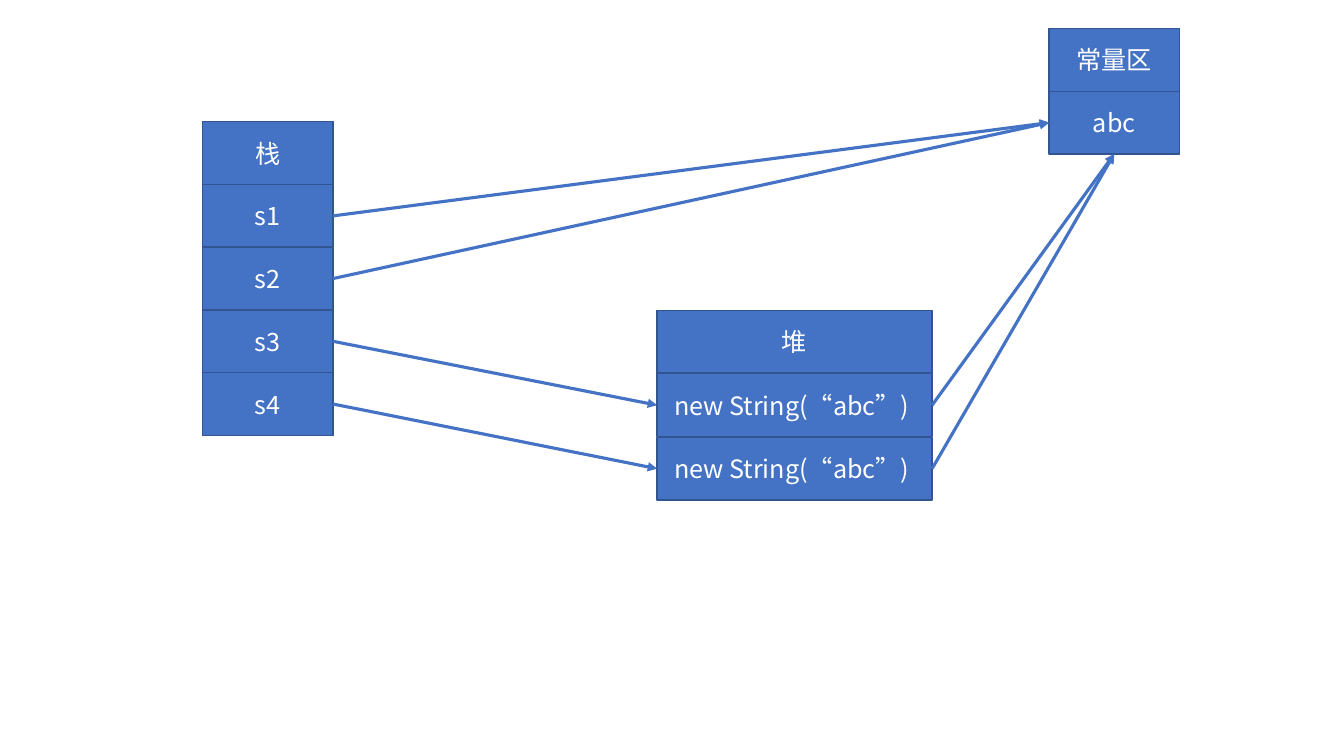
"""Draw how stack variables refer to strings in the heap and the constant area."""
from lxml import etree
from pptx import Presentation
from pptx import util as u
from pptx.dml.color import RGBColor
from pptx.enum import shapes, text
from pptx.oxml.ns import qn

COLORS = {"fill": "4472C4", "border": "325491", "text": "FFFFFF"}
FONT = "Noto Sans CJK SC"
CELL_HEIGHT = 1.58
TOP, LEFT, BOTTOM, RIGHT = range(4)


def color(name):
    """Return the named colour."""
    return RGBColor.from_string(COLORS[name])


def add_cell(slide, label, left, top, width):
    """Add one bordered cell with a centred label."""
    shape = slide.shapes.add_shape(
        shapes.MSO_SHAPE.RECTANGLE, u.Cm(left), u.Cm(top), u.Cm(width), u.Cm(CELL_HEIGHT))
    shape.shadow.inherit = False
    shape.fill.solid()
    shape.fill.fore_color.rgb = color("fill")
    shape.line.color.rgb = color("border")
    shape.line.width = u.Pt(1)
    shape.text_frame.vertical_anchor = text.MSO_ANCHOR.MIDDLE
    paragraph = shape.text_frame.paragraphs[0]
    paragraph.text = label
    paragraph.alignment = text.PP_ALIGN.CENTER
    font = paragraph.font
    font.name = FONT
    font.size = u.Pt(18)
    font.color.rgb = color("text")
    properties = paragraph._p.pPr.find(qn("a:defRPr"))
    etree.SubElement(properties, qn("a:ea"), typeface=FONT)
    return shape


def add_column(slide, labels, left, top, width, step=CELL_HEIGHT):
    """Add a memory area as a column of cells and return the cells."""
    return [add_cell(slide, label, left, top + row * step, width)
            for row, label in enumerate(labels)]


def add_arrow(slide, source, target, target_side):
    """Join the right side of one cell to a side of another with an arrow."""
    arrow = slide.shapes.add_connector(shapes.MSO_CONNECTOR.STRAIGHT, 0, 0, 0, 0)
    arrow.begin_connect(source, RIGHT)
    arrow.end_connect(target, target_side)
    arrow.line.color.rgb = color("fill")
    arrow.line.width = u.Pt(2.25)
    etree.SubElement(arrow.line._get_or_add_ln(), qn("a:tailEnd"), type="triangle")
    etree.SubElement(arrow._element.spPr, qn("a:effectLst"))


def main():
    """Build and save the slide."""
    presentation = Presentation()
    presentation.slide_width, presentation.slide_height = u.Cm(33.87), u.Cm(19.05)
    slide = presentation.slides.add_slide(presentation.slide_layouts[6])

    _, s1, s2, s3, s4 = add_column(slide, ["栈", "s1", "s2", "s3", "s4"], 5.11, 3.07, 3.28)
    _, constant = add_column(slide, ["常量区", "abc"], 26.44, 0.72, 3.28)
    _, first, second = add_column(
        slide, ["堆"] + ["new String(“abc”) "] * 2, 16.56, 7.82, 6.93, step=1.6)

    for source, target, side in [
        (s1, constant, LEFT), (s2, constant, LEFT),
        (s3, first, LEFT), (s4, second, LEFT),
        (first, constant, BOTTOM), (second, constant, BOTTOM),
    ]:
        add_arrow(slide, source, target, side)

    presentation.save("out.pptx")


if __name__ == "__main__":
    main()
